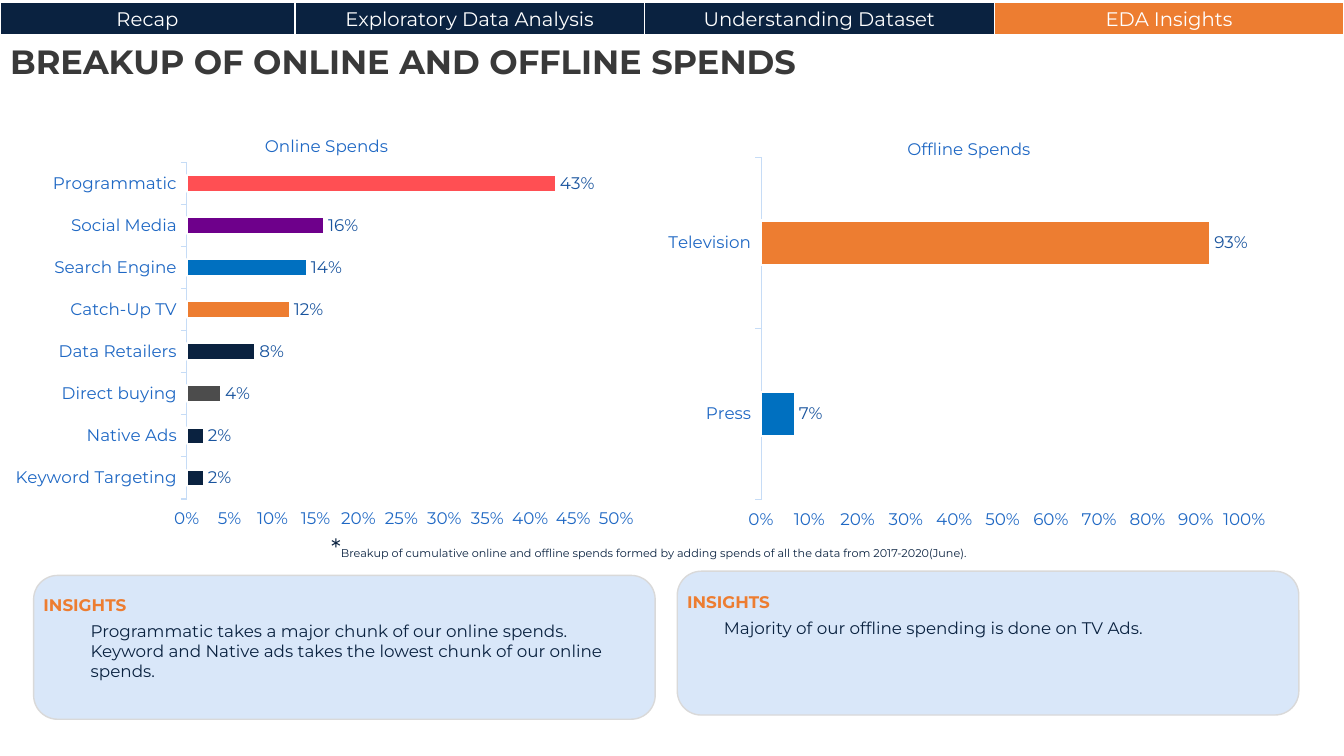
from dataclasses import dataclass

from lxml.etree import SubElement
from pptx import Presentation
from pptx.chart.data import CategoryChartData
from pptx.dml.color import RGBColor
from pptx.enum.chart import XL_CHART_TYPE as ChartType
from pptx.enum.chart import XL_LABEL_POSITION as LabelPos
from pptx.enum.chart import XL_TICK_MARK as Tick
from pptx.enum.shapes import MSO_SHAPE as Preset
from pptx.enum.text import MSO_ANCHOR as Anchor
from pptx.enum.text import MSO_AUTO_SIZE as AutoSize
from pptx.enum.text import PP_ALIGN as Align
from pptx.oxml.ns import qn
from pptx.util import Emu, Pt

FONT = "Montserrat"
NAVY, ORANGE, BLUE, WHITE = "0A2240", "ED7D31", "0070C0", "FFFFFF"
AXIS_BLUE, LABEL_BLUE = "1F68C4", "19549E"
PX = 9525  # EMU in one px, 96 px to the inch


@dataclass
class Box:
    left: int
    top: int
    width: int
    height: int

    def emu(self) -> tuple[Emu, ...]:
        return tuple(px(n) for n in (self.left, self.top, self.width, self.height))


@dataclass
class Bar:
    category: str
    share: float
    color: str = NAVY


@dataclass
class SpendChart:
    title: str
    box: Box
    plot: tuple[float, float, float, float]
    gap: int
    axis_max: float
    axis_step: float
    bars: list[Bar]


@dataclass
class InsightPanel:
    card: Box
    heading: Box
    body: Box
    points: list[str]


TABS = [("Recap", 281, NAVY), ("Exploratory Data Analysis", 333, NAVY),
        ("Understanding Dataset", 333, NAVY), ("EDA Insights", 333, ORANGE)]

# Bars run from the bottom of the chart to the top.
CHARTS = [
    SpendChart("Online Spends", Box(7, 109, 606, 413), (0.282, 0.111, 0.675, 0.776),
               150, 0.5, 0.05, [
                   Bar("Keyword Targeting", 0.02), Bar("Native Ads", 0.02),
                   Bar("Direct buying", 0.04, "4C4C4C"), Bar("Data Retailers", 0.08),
                   Bar("Catch-Up TV", 0.12, ORANGE), Bar("Search Engine", 0.14, BLUE),
                   Bar("Social Media", 0.16, "6E008B"),
                   Bar("Programmatic", 0.43, "FF4F53")]),
    SpendChart("Offline Spends", Box(624, 112, 593, 410), (0.17, 0.092, 0.776, 0.796),
               285, 1.0, 0.1, [Bar("Press", 0.07, BLUE), Bar("Television", 0.93, ORANGE)]),
]

PANELS = [
    InsightPanel(Box(32, 548, 592, 137), Box(32, 562, 143, 58), Box(77, 586, 558, 68),
                 ["Programmatic takes a major chunk of our online spends.",
                  "Keyword and Native ads takes the lowest chunk of our online spends."]),
    InsightPanel(Box(645, 544, 592, 137), Box(645, 559, 203, 58), Box(680, 584, 558, 29),
                 ["Majority of our offline spending is done on TV Ads."]),
]


def px(count: int) -> Emu:
    return Emu(count * PX)


def rgb(color: str) -> RGBColor:
    return RGBColor.from_string(color)


def set_font(font, size: float, color: str, bold: bool = False) -> None:
    font.name, font.size, font.bold = FONT, Pt(size), bold
    font.color.rgb = rgb(color)


def paint(part, fill: str, line: str, width: float) -> None:
    """Fill and outline a shape or a chart format."""
    part.fill.solid()
    part.fill.fore_color.rgb = rgb(fill)
    part.line.color.rgb = rgb(line)
    part.line.width = Pt(width)


def add_text(shapes, box: Box, lines: list[str], size: float, color: str,
             bold: bool = False) -> None:
    frame = shapes.add_textbox(*box.emu()).text_frame
    frame.word_wrap = True
    frame.text = "\n".join(lines)
    for paragraph in frame.paragraphs:
        set_font(paragraph.font, size, color, bold)


def add_title(slide, text: str) -> None:
    title = slide.shapes.title
    title.left, title.top, title.width, title.height = Box(0, 35, 1229, 48).emu()
    frame = title.text_frame
    frame.text = text
    frame.auto_size = AutoSize.NONE
    frame.vertical_anchor = Anchor.BOTTOM
    heading = frame.paragraphs[0]
    heading.alignment = Align.LEFT
    heading.line_spacing = 0.9
    set_font(heading.font, 24, "393939", bold=True)


def set_borders(cell) -> None:
    properties = cell._tc.get_or_add_tcPr()
    for place, (side, width) in enumerate([("L", 1), ("R", 1), ("T", 1), ("B", 3)]):
        line = SubElement(properties, qn(f"a:ln{side}"), w=str(Pt(width)))
        fill = SubElement(line, qn("a:solidFill"))
        SubElement(fill, qn("a:srgbClr"), val=WHITE)
        properties.insert(place, line)


def add_tabs(slide) -> None:
    table = slide.shapes.add_table(1, len(TABS), *Box(0, 2, 1280, 32).emu()).table
    for index, (label, width, color) in enumerate(TABS):
        table.columns[index].width = px(width)
        cell = table.cell(0, index)
        cell.text = label
        cell.fill.solid()
        cell.fill.fore_color.rgb = rgb(color)
        set_borders(cell)
        paragraph = cell.text_frame.paragraphs[0]
        paragraph.alignment = Align.CENTER
        set_font(paragraph.font, 14, WHITE)


def set_layout(parent, **settings) -> None:
    """Place a chart title or plot area by fractions of the chart."""
    layout = parent.find(qn("c:layout"))
    if layout is None:
        layout = SubElement(parent, qn("c:layout"))
        parent.insert(0, layout)
    manual = SubElement(layout, qn("c:manualLayout"))
    for tag, value in settings.items():
        SubElement(manual, qn(f"c:{tag}"), val=str(value))


def add_spend_chart(slide, spec: SpendChart) -> None:
    data = CategoryChartData(number_format="0%")
    data.categories = [bar.category for bar in spec.bars]
    data.add_series("Series 1", [bar.share for bar in spec.bars])
    chart = slide.shapes.add_chart(ChartType.BAR_CLUSTERED, *spec.box.emu(), data).chart
    set_font(chart.font, 10, NAVY)
    chart.has_legend = False

    chart.has_title = True
    chart.chart_title.text_frame.text = spec.title
    set_font(chart.chart_title.text_frame.paragraphs[0].font, 12, AXIS_BLUE)
    set_layout(chart.chart_title._element, xMode="edge", yMode="edge", x=0.4, y=0.04)
    x, y, w, h = spec.plot
    set_layout(chart._chartSpace.chart.plotArea, layoutTarget="inner",
               xMode="edge", yMode="edge", x=x, y=y, w=w, h=h)

    categories, shares = chart.category_axis, chart.value_axis
    for axis in (categories, shares):
        axis.has_major_gridlines = False
        axis.major_tick_mark = Tick.OUTSIDE
        set_font(axis.tick_labels.font, 12, AXIS_BLUE)
    categories.format.line.color.rgb = rgb("C6DCF6")
    categories.format.line.width = Pt(0.75)
    shares.format.line.fill.background()
    shares.minimum_scale, shares.maximum_scale = 0, spec.axis_max
    shares.major_unit = spec.axis_step
    shares.tick_labels.number_format = "0%"
    shares.tick_labels.number_format_is_linked = False

    plot = chart.plots[0]
    plot.gap_width = spec.gap
    plot.vary_by_categories = False
    series = plot.series[0]
    paint(series.format, NAVY, WHITE, 1.5)
    for index, bar in enumerate(spec.bars):
        paint(series.points[index].format, bar.color, WHITE, 1.5)
    labels = series.data_labels
    labels.show_value = True
    labels.position = LabelPos.OUTSIDE_END
    labels.number_format, labels.number_format_is_linked = "0%", False
    set_font(labels.font, 12, LABEL_BLUE)


def add_panel(slide, panel: InsightPanel) -> None:
    shapes = slide.shapes.add_group_shape().shapes
    card = shapes.add_shape(Preset.ROUNDED_RECTANGLE, *panel.card.emu())
    card.shadow.inherit = False
    paint(card, "D9E7F9", "D9D9D9", 1)
    add_text(shapes, panel.body, panel.points, 12, NAVY)
    add_text(shapes, panel.heading, ["INSIGHTS"], 12, ORANGE, bold=True)


def add_footnote(slide) -> None:
    frame = slide.shapes.add_textbox(*Box(306, 502, 636, 38).emu()).text_frame
    frame.word_wrap = True
    for text, size in [("*", 18), ("Breakup of cumulative online and offline spends formed by "
                                   "adding spends of all the data from 2017-2020(June).", 8)]:
        run = frame.paragraphs[0].add_run()
        run.text = text
        set_font(run.font, size, NAVY)


def main() -> None:
    deck = Presentation()
    deck.slide_width, deck.slide_height = px(1280), px(720)
    slide = deck.slides.add_slide(deck.slide_layouts.get_by_name("Title Only"))
    add_title(slide, "BREAKUP OF ONLINE AND OFFLINE SPENDS")
    for spec in CHARTS:
        add_spend_chart(slide, spec)
    add_tabs(slide)
    for panel in PANELS:
        add_panel(slide, panel)
    add_footnote(slide)
    deck.save("out.pptx")


if __name__ == "__main__":
    main()
